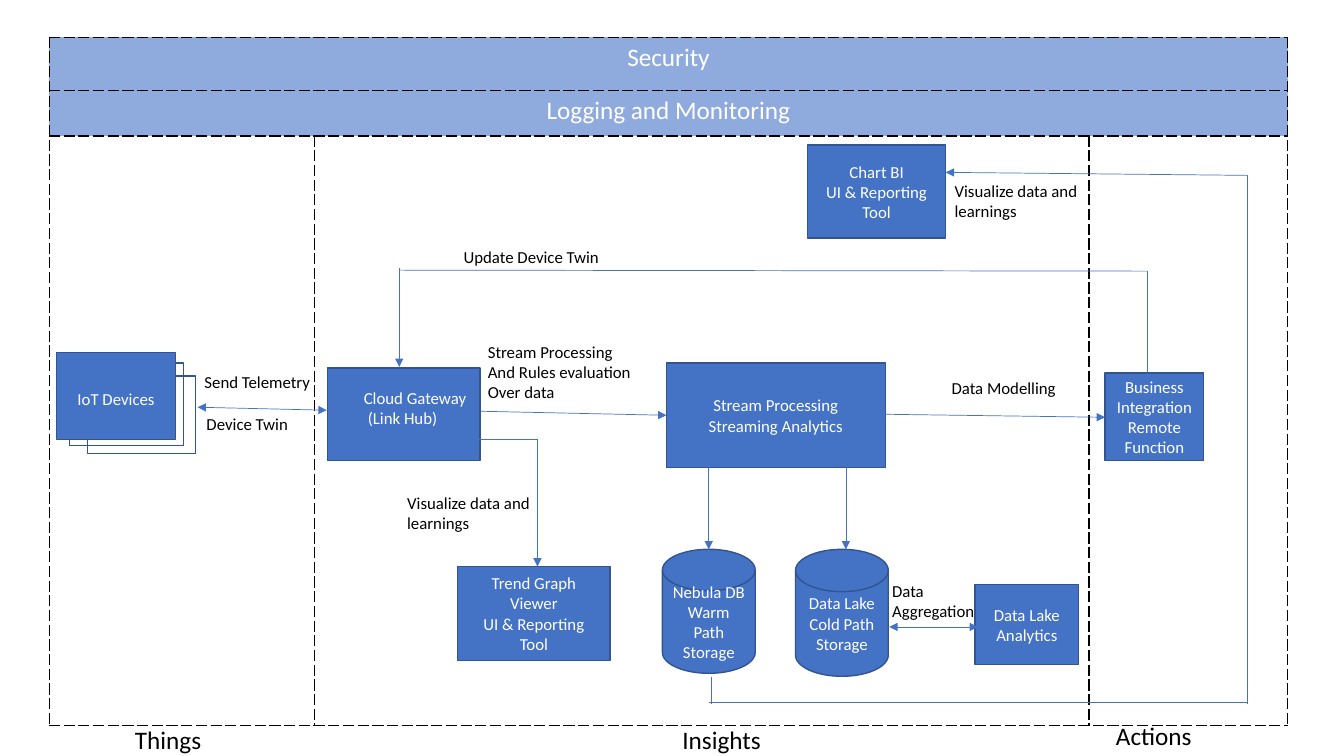
"""Draw an IoT reference flow across things, insights and actions."""
from dataclasses import dataclass
from typing import NamedTuple

from lxml import etree
from pptx import Presentation
from pptx.dml.color import RGBColor
from pptx.enum.shapes import MSO_CONNECTOR, MSO_SHAPE
from pptx.enum.text import MSO_ANCHOR, MSO_AUTO_SIZE, PP_ALIGN
from pptx.oxml.ns import qn
from pptx.util import Inches, Pt

RECT = MSO_SHAPE.RECTANGLE
STEP = MSO_SHAPE.FLOWCHART_PROCESS
DISK = MSO_SHAPE.FLOWCHART_MAGNETIC_DISK
LINE = MSO_CONNECTOR.STRAIGHT
LEFT, MID = PP_ALIGN.LEFT, PP_ALIGN.CENTER
TOP, CORE = MSO_ANCHOR.TOP, MSO_ANCHOR.MIDDLE
GROW = MSO_AUTO_SIZE.SHAPE_TO_FIT_TEXT


@dataclass(frozen=True)
class Theme:
    font: str = "Calibri"
    small: int = 12
    large: int = 18
    ink: str = "000000"
    paper: str = "FFFFFF"
    fill: str = "4472C4"
    edge: str = "325491"
    band: str = "8FAADC"
    thin: float = 0.5
    rule: float = 1


THEME = Theme()


class Box(NamedTuple):
    col: float
    row: float
    wide: float
    high: float
    text: str = ""
    kind: int = STEP
    solid: bool = True


class Label(NamedTuple):
    col: float
    row: float
    wide: float
    high: float
    text: str
    size: int = THEME.small
    tint: str = THEME.ink
    dent: float = 0


class Link(NamedTuple):
    start: tuple[float, float]
    end: tuple[float, float]
    ends: tuple[str, ...] = ()


HEAD, TAIL = "headEnd", "tailEnd"
TO, BOTH = (TAIL,), (HEAD, TAIL)

STACK = [Box(6.9, 36, 11.3, 8.2, kind=RECT, solid=False),
         Box(8.7, 37.3, 10.7, 7.7, kind=RECT, solid=False)]
BANDS = ["Security", "Logging and Monitoring"]
COLS = [26.3, 76.8, 19.7]
ROWS = [5.3, 4.5, 58.5]

BOXES = [
    Box(5.6, 35, 11.8, 8.6),
    Box(32.5, 36.5, 15.1, 9.2),
    Box(66.1, 36, 21.7, 10.4, "Stream Processing\nStreaming Analytics"),
    Box(78.9, 54.5, 9.2, 12.6, "Data Lake Cold Path Storage", DISK),
    Box(96.7, 58, 10.3, 7.9, "Data Lake Analytics", RECT),
    Box(109.6, 37, 9.8, 8.7, "Business Integration\nRemote Function", RECT),
    Box(45.4, 56.2, 15.1, 9.3, "Trend Graph\nViewer\nUI & Reporting\nTool"),
    Box(65.7, 54.5, 9.2, 12.3, "Nebula DB\nWarm Path Storage", DISK),
    Box(80.1, 14.4, 13.7, 9.2, "Chart BI\nUI & Reporting\nTool"),
]

LABELS = [
    Label(12.4, 71.4, 8.7, 4, "Things", THEME.large),
    Label(66.7, 71.4, 9.9, 4, "Insights", THEME.large),
    Label(109.7, 71, 9.6, 4, "Actions", THEME.large),
    Label(6.7, 38.1, 9.8, 3, "IoT Devices", tint=THEME.paper),
    Label(35.1, 38, 12.3, 5, "Cloud Gateway\n(Link Hub)", tint=THEME.paper, dent=0.4),
    Label(19.5, 40.6, 10.3, 3, "Device Twin"),
    Label(47.4, 33.4, 16.3, 7.1, "Stream Processing\nAnd Rules evaluation\nOver data"),
    Label(87.5, 57.1, 10.3, 5, "Data\nAggregation"),
    Label(93.4, 37, 12.4, 3, "Data Modelling"),
    Label(45, 24, 15.6, 3, "Update Device Twin"),
    Label(19.3, 36.4, 12.6, 3, "Send Telemetry"),
    Label(93.7, 17.4, 14.7, 5, "Visualize data and\nlearnings"),
    Label(39.4, 48.4, 14.7, 5, "Visualize data and\nlearnings"),
]

LINKS = [
    Link((19.6, 40.4), (32.4, 40.7), BOTH),
    Link((47.7, 40.8), (66.1, 41.2), TO),
    Link((83.9, 46.3), (83.9, 54.5), TO),
    Link((88.2, 62.2), (97, 62.2), BOTH),
    Link((87.8, 41.1), (109.6, 41.4), TO),
    Link((113.8, 37), (113.8, 26.9)),
    Link((113.8, 26.9), (39.6, 26.8)),
    Link((39.6, 26.6), (39.6, 36.4), TO),
    Link((47.5, 43.6), (53.3, 43.6)),
    Link((53.3, 43.6), (53.3, 56.2), TO),
    Link((70.3, 46.3), (70.3, 54.5), TO),
    Link((70.3, 69.7), (123.8, 69.7)),
    Link((123.7, 17.4), (123.7, 69.8)),
    Link((70.6, 67.2), (70.6, 69.8)),
    Link((123.7, 17.4), (93.8, 17.1), TO),
]


def grid(*cells: float) -> list[int]:
    """Turn grid cells of a tenth of an inch into lengths."""
    return [Inches(cell / 10) for cell in cells]


def write(frame, text: str, *, size: int = THEME.small, tint: str = THEME.paper,
          align=MID, dent: float = 0) -> None:
    """Fill a text frame, one paragraph per line."""
    for i, words in enumerate(text.split("\n")):
        para = frame.add_paragraph() if i else frame.paragraphs[0]
        para.alignment = align
        if i and dent:
            para._p.get_or_add_pPr().set("marL", str(grid(dent)[0]))
        run = para.add_run()
        run.text = words
        run.font.name, run.font.size = THEME.font, Pt(size)
        run.font.color.rgb = RGBColor.from_string(tint)


def draw_box(slide, box: Box) -> None:
    """Draw a box with its centred text."""
    shape = slide.shapes.add_shape(
        box.kind, *grid(box.col, box.row, box.wide, box.high))
    shape.shadow.inherit = False
    if box.solid:
        shape.fill.solid()
        shape.fill.fore_color.rgb = RGBColor.from_string(THEME.fill)
    else:
        shape.fill.background()
    shape.line.color.rgb = RGBColor.from_string(THEME.edge)
    shape.line.width = Pt(THEME.rule)
    if box.text:
        shape.text_frame.vertical_anchor = CORE
        write(shape.text_frame, box.text)


def draw_label(slide, label: Label) -> None:
    """Draw free text that does not wrap."""
    area = slide.shapes.add_textbox(
        *grid(label.col, label.row, label.wide, label.high))
    frame = area.text_frame
    frame.word_wrap, frame.auto_size = False, GROW
    write(frame, label.text, size=label.size, tint=label.tint,
          align=LEFT, dent=label.dent)


def draw_link(slide, link: Link) -> None:
    """Draw a thin line with its arrowheads."""
    wire = slide.shapes.add_connector(LINE, *grid(*link.start, *link.end))
    wire.line.color.rgb = RGBColor.from_string(THEME.fill)
    wire.line.width = Pt(THEME.thin)
    for tip in link.ends:
        etree.SubElement(wire.line._ln, qn(f"a:{tip}"), type="triangle")
    etree.SubElement(wire._element.spPr, qn("a:effectLst"))


def edge_cell(cell) -> None:
    """Give a cell dashed borders on all sides."""
    props = cell._tc.get_or_add_tcPr()
    for side in "LRTB":
        rule = etree.SubElement(props, qn(f"a:ln{side}"), w=str(Pt(THEME.rule)))
        fill = etree.SubElement(rule, qn("a:solidFill"))
        etree.SubElement(fill, qn("a:srgbClr"), val=THEME.ink)
        etree.SubElement(rule, qn("a:prstDash"), val="sysDash")


def draw_zones(slide) -> None:
    """Draw the table of bands and zones."""
    table = slide.shapes.add_table(
        len(ROWS), len(COLS), *grid(4.9, 3.7, sum(COLS), sum(ROWS))).table
    table.first_row = table.horz_banding = False
    for col, wide in zip(table.columns, grid(*COLS)):
        col.width = wide
    for row, high in zip(table.rows, grid(*ROWS)):
        row.height = high
    for cell in table.iter_cells():
        edge_cell(cell)
        cell.fill.background()
    for i, text in enumerate(BANDS):
        cell = table.cell(i, 0)
        cell.merge(table.cell(i, len(COLS) - 1))
        cell.fill.solid()
        cell.fill.fore_color.rgb = RGBColor.from_string(THEME.band)
        cell.vertical_anchor = TOP
        write(cell.text_frame, text, size=THEME.large)


def main() -> None:
    """Build and save the slide."""
    deck = Presentation()
    deck.slide_width, deck.slide_height = Inches(13.33), Inches(7.5)
    slide = deck.slides.add_slide(deck.slide_layouts[6])
    for box in STACK:
        draw_box(slide, box)
    draw_zones(slide)
    for draw, items in ((draw_box, BOXES), (draw_link, LINKS), (draw_label, LABELS)):
        for item in items:
            draw(slide, item)
    deck.save("out.pptx")


main()
